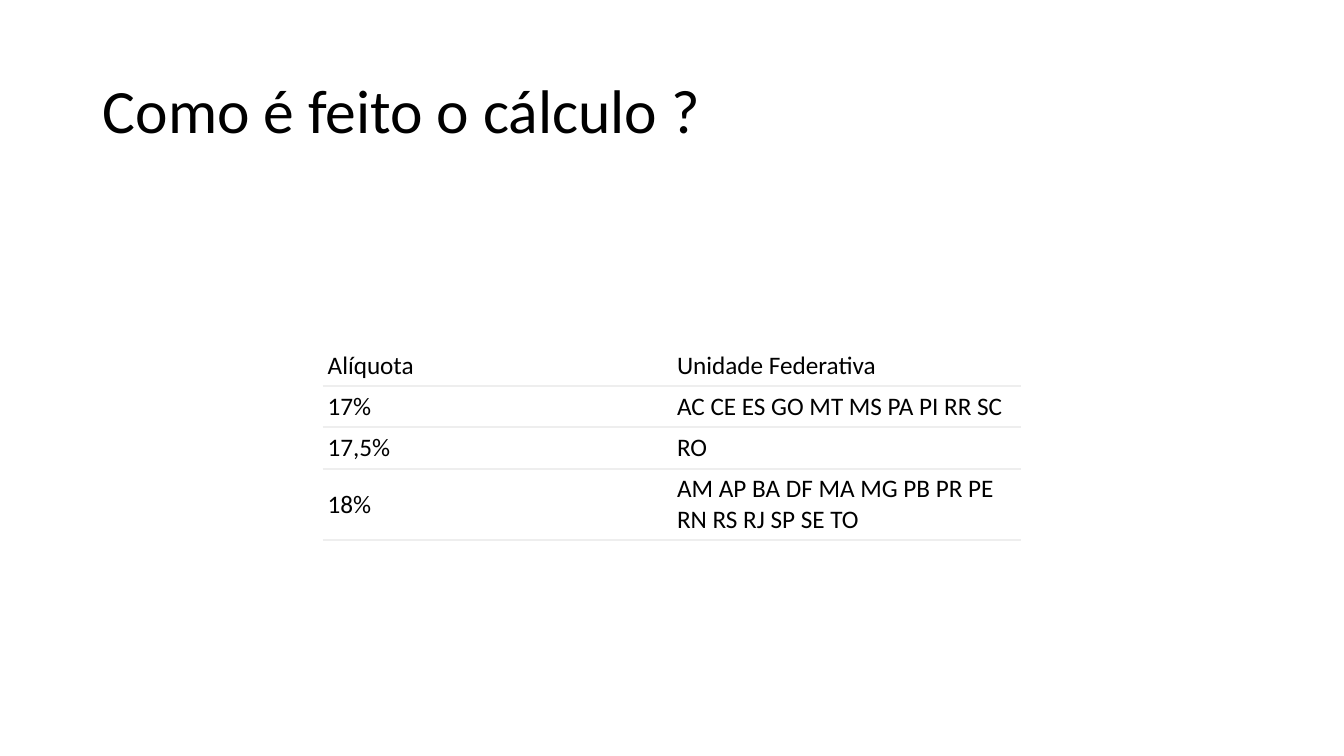
from lxml import etree
from pptx import Presentation, util as u
from pptx.dml.color import RGBColor
from pptx.enum import text
from pptx.oxml.ns import qn

TITLE = "Como é feito o cálculo ?"
ROWS = [
    ("Alíquota", "Unidade Federativa"),
    ("17%", "AC CE ES GO MT MS PA PI RR SC"),
    ("17,5%", "RO"),
    ("18%", "AM AP BA DF MA MG PB PR PE RN RS RJ SP SE TO"),
]
ROW_HEIGHTS = [0.41, 0.41, 0.41, 0.71]
COL_WIDTH = 3.465
MARGIN = u.Inches(0.05)
FONT = "Calibri"
COLORS = {"text": "000000", "cell": "FFFFFF", "rule": "EEEEEE"}


def style_paragraph(p, size):
    p.alignment = text.PP_ALIGN.LEFT
    p.font.name = FONT
    p.font.size = u.Pt(size)
    p.font.color.rgb = RGBColor.from_string(COLORS["text"])


def set_borders(cell, ruled_sides):
    tcPr = cell._tc.get_or_add_tcPr()
    for i, side in enumerate("LRTB"):
        ln = etree.Element(qn(f"a:ln{side}"), w=str(u.Pt(1.5)))
        if side in ruled_sides:
            fill = etree.SubElement(ln, qn("a:solidFill"))
            etree.SubElement(fill, qn("a:srgbClr"), val=COLORS["rule"])
        else:
            etree.SubElement(ln, qn("a:noFill"))
        tcPr.insert(i, ln)


def add_title(s):
    sp = s.shapes.title
    sp.left, sp.top = u.Inches(0.92), u.Inches(0.4)
    sp.width, sp.height = u.Inches(11.5), u.Inches(1.45)
    tf = sp.text_frame
    tf.text = TITLE
    tf.vertical_anchor = text.MSO_ANCHOR.MIDDLE
    p = tf.paragraphs[0]
    p.line_spacing = 0.9
    style_paragraph(p, 44)


def add_rates(s):
    cols = len(ROWS[0])
    table = s.shapes.add_table(
        len(ROWS), cols, u.Inches(3.2), u.Inches(3.42),
        u.Inches(cols * COL_WIDTH), u.Inches(sum(ROW_HEIGHTS))).table
    table.first_row = table.horz_banding = False
    for col in table.columns:
        col.width = u.Inches(COL_WIDTH)
    for i, (row, height) in enumerate(zip(ROWS, ROW_HEIGHTS)):
        table.rows[i].height = u.Inches(height)
        for j, value in enumerate(row):
            cell = table.cell(i, j)
            cell.text = value
            cell.vertical_anchor = text.MSO_ANCHOR.MIDDLE
            cell.margin_left = cell.margin_right = MARGIN
            cell.margin_top = cell.margin_bottom = MARGIN
            cell.fill.solid()
            cell.fill.fore_color.rgb = RGBColor.from_string(COLORS["cell"])
            set_borders(cell, "TB" if i else "B")
            style_paragraph(cell.text_frame.paragraphs[0], 18)


def main():
    prs = Presentation()
    prs.slide_width, prs.slide_height = u.Inches(13.33), u.Inches(7.5)
    s = prs.slides.add_slide(prs.slide_layouts[5])
    add_title(s)
    add_rates(s)
    prs.save("out.pptx")


if __name__ == "__main__":
    main()
